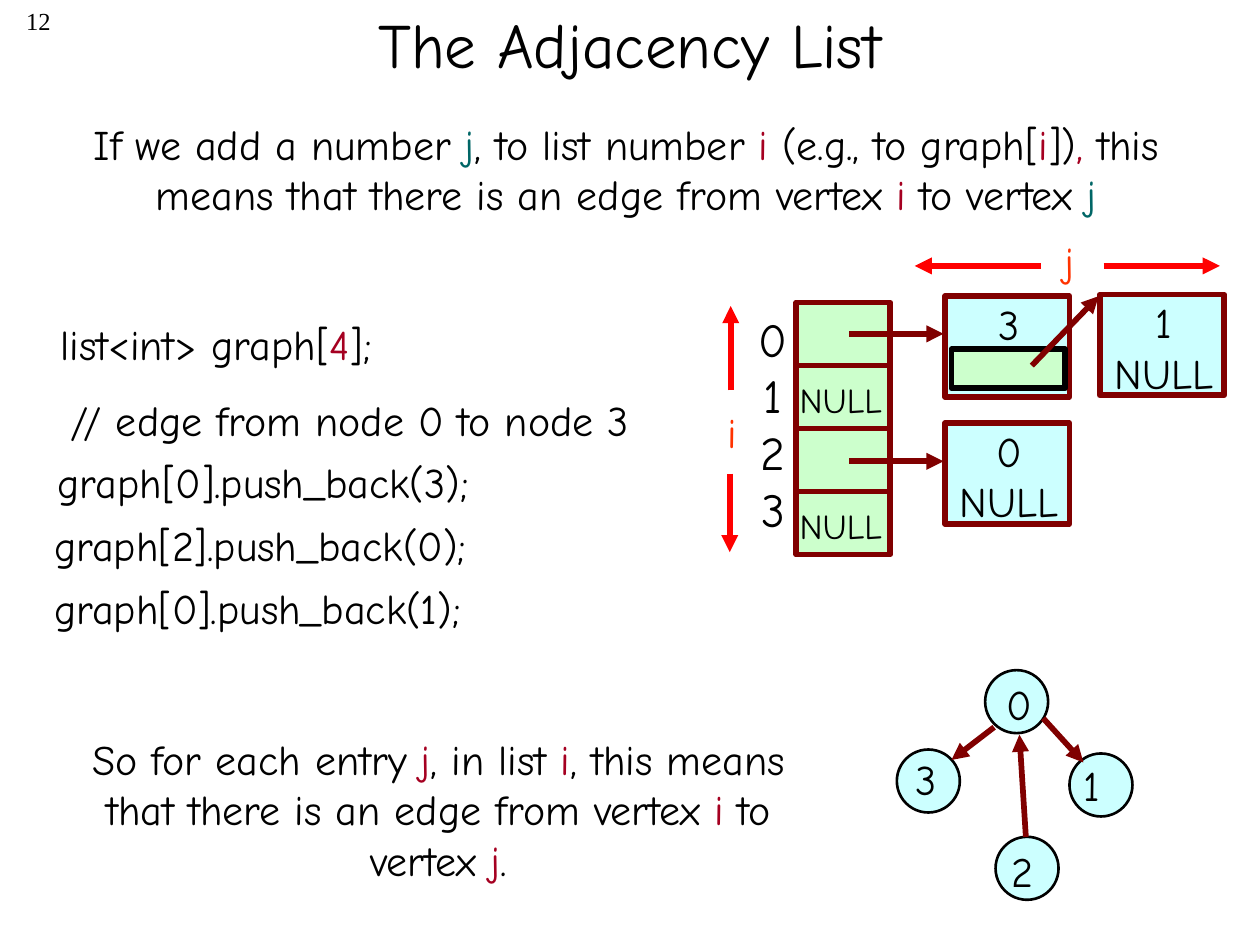
"""Build the adjacency list slide: code, linked lists and the matching graph."""
from lxml import etree
from pptx import Presentation
from pptx.dml.color import RGBColor
from pptx.enum.shapes import MSO_CONNECTOR, MSO_SHAPE
from pptx.enum.text import MSO_ANCHOR, MSO_AUTO_SIZE, PP_ALIGN
from pptx.oxml.ns import qn
from pptx.util import Cm, Pt

LEFT, CENTER, RIGHT = PP_ALIGN.LEFT, PP_ALIGN.CENTER, PP_ALIGN.RIGHT
RECT, OVAL = MSO_SHAPE.RECTANGLE, MSO_SHAPE.OVAL
GROW, FIXED = MSO_AUTO_SIZE.SHAPE_TO_FIT_TEXT, MSO_AUTO_SIZE.NONE

THEME = {
    "font": "Comic Neue", "number_font": "Times New Roman",
    "title": 36, "index": 27, "body": 24, "cell": 20, "number": 14,
    "ink": "000000", "red": "A50021", "teal": "006666", "axis": "FF3300",
    "arrow": "FF0000", "maroon": "800000", "green": "CCFFCC", "cyan": "CCFFFF",
    "thick": 3.25, "thin": 1.5,
}

TITLE = "The Adjacency List"
LEAD = [("If we add a number ", "ink"), ("j", "teal"), (", to list number ", "ink"),
        ("i ", "red"), ("(e.g., to graph[", "ink"), ("i", "red"), ("])", "ink"),
        (", ", "red"), ("this means that there is an edge from vertex ", "ink"),
        ("i", "red"), (" to vertex ", "ink"), ("j", "teal")]
CLOSING = [("So for each entry ", "ink"), ("j", "red"), (", in list ", "ink"),
           ("i", "red"), (", this means that there is an edge from vertex ", "ink"),
           ("i ", "red"), ("to vertex ", "ink"), ("j", "red"), (".", "ink")]
CODE = [
    (0.97, 6.3, 7.47, [("list<int> graph[", "ink"), ("4", "red"), ("];", "ink")]),
    (1.17, 7.82, 12.52, "// edge from node 0 to node 3"),
    (0.91, 9.07, 9.65, "graph[0].push_back(3);"),
    (0.84, 10.34, 9.65, "graph[2].push_back(0);"),
    (0.84, 11.61, 9.5, "graph[0].push_back(1);"),
]
ARRAY = ["", "NULL", "", "NULL"]
LIST_NODES = [
    (19.05, 5.97, ["3"]),
    (19.05, 8.53, ["0", "NULL"]),
    (22.17, 5.94, ["1", "NULL"]),
]
NEXT_SLOT = (19.18, 7.04, 2.29, 0.79)
POINTERS = [(17.12, 6.73, 19.02, 6.73), (17.12, 9.3, 19.02, 9.3),
            (20.8, 7.37, 22.15, 5.97)]
AXES = [
    ("i", (14.38, 8.08, 0.76, 1.27),
     [(14.73, 7.87, 14.73, 6.17), (14.71, 9.55, 14.71, 11.13)]),
    ("j", (21.13, 4.62, 0.86, 1.27),
     [(22.25, 5.36, 24.59, 5.36), (20.98, 5.36, 18.44, 5.36)]),
]
VERTICES = [
    ("0", (19.86, 13.51), (20.04, 13.56, 1.02)),
    ("1", (21.56, 15.19), (21.59, 15.19, 0.89)),
    ("2", (20.07, 16.87), (20.14, 16.92, 1.02)),
    ("3", (18.08, 15.11), (18.21, 15.06, 1.02)),
]
EDGES = [(20.04, 14.66, 19.18, 15.32), (20.68, 16.87, 20.55, 14.81),
         (21.03, 14.48, 21.84, 15.37)]
LINE_H = 1.27
CELL_X, CELL_Y, CELL_W, CELL_H = 16.05, 6.1, 1.9, 1.27
NODE_W, NODE_H = 2.51, 2.03


def color(name):
    return RGBColor.from_string(THEME[name])


def apply(obj, values):
    for name, value in values.items():
        setattr(obj, name, value)


def write(tf, paragraphs, size="body", align=LEFT, font="font", ink="ink"):
    for i, runs in enumerate(paragraphs):
        p = tf.add_paragraph() if i else tf.paragraphs[0]
        p.alignment = align
        for text, tone in [(runs, ink)] if isinstance(runs, str) else runs:
            r = p.add_run()
            r.text = text
            apply(r.font, {"name": THEME[font], "size": Pt(THEME[size])})
            r.font.color.rgb = color(tone)


def add_text(s, box, paragraphs, wrap=False, **style):
    tf = s.shapes.add_textbox(*map(Cm, box)).text_frame
    apply(tf, {"word_wrap": wrap, "auto_size": GROW})
    write(tf, paragraphs, **style)


def add_block(s, kind, box, fill, line="maroon", width="thick"):
    sp = s.shapes.add_shape(kind, *map(Cm, box))
    sp.shadow.inherit = False
    sp.fill.solid()
    sp.fill.fore_color.rgb = color(fill)
    sp.line.color.rgb = color(line)
    sp.line.width = Pt(THEME[width])


def add_arrow(s, ends, tone="maroon"):
    sp = s.shapes.add_connector(MSO_CONNECTOR.STRAIGHT, *map(Cm, ends))
    sp.line.color.rgb = color(tone)
    sp.line.width = Pt(THEME["thick"])
    etree.SubElement(sp.line._get_or_add_ln(), qn("a:tailEnd"), type="triangle")
    etree.SubElement(sp._element.spPr, qn("a:effectLst"))


def add_words(s):
    title = s.shapes.title
    apply(title, {"left": Cm(1.9), "top": Cm(-0.71),
                  "width": Cm(21.59), "height": Cm(3.18)})
    apply(title.text_frame, {"auto_size": FIXED, "vertical_anchor": MSO_ANCHOR.MIDDLE})
    write(title.text_frame, [TITLE], "title", CENTER)
    add_text(s, (0, 0, 1.27, 1.27), ["12"], True,
             size="number", align=RIGHT, font="number_font")
    add_text(s, (0.84, 2.26, 23.57, 2.31), [LEAD], True, align=CENTER)
    for x, y, w, runs in CODE:
        add_text(s, (x, y, w, LINE_H), [runs])
    add_text(s, (1.45, 14.66, 14.78, 3.3), [CLOSING], True, align=CENTER)


def add_lists(s):
    for i, label in enumerate(ARRAY):
        y = CELL_Y + i * CELL_H
        add_block(s, RECT, (CELL_X, y, CELL_W, CELL_H), "green")
        if label:
            add_text(s, (CELL_X - 0.18, y + 0.14, 2.36, 1.09), [label], size="cell")
    add_text(s, (15.04, 6.12, 1.09, 4.83), [str(i) for i in range(len(ARRAY))],
             size="index", align=CENTER)
    for x, y, lines in LIST_NODES:
        add_block(s, RECT, (x, y, NODE_W, NODE_H), "cyan")
        add_text(s, (x - 0.08, y - 0.08, 2.74, 0.25 + 1.02 * len(lines)),
                 lines, align=CENTER)
    add_block(s, RECT, NEXT_SLOT, "green", "ink")
    for ends in POINTERS:
        add_arrow(s, ends)
    for label, box, arrows in AXES:
        add_text(s, box, [label], align=CENTER, ink="axis")
        for ends in arrows:
            add_arrow(s, ends, "arrow")


def add_graph(s):
    for label, corner, place in VERTICES:
        add_block(s, OVAL, (*corner, LINE_H, LINE_H), "cyan", "ink", "thin")
        add_text(s, (*place, LINE_H), [label])
    for ends in EDGES:
        add_arrow(s, ends)


def main():
    prs = Presentation()
    apply(prs, {"slide_width": Cm(25.4), "slide_height": Cm(19.05)})
    s = prs.slides.add_slide(prs.slide_layouts[5])
    for add_part in (add_words, add_lists, add_graph):
        add_part(s)
    prs.save("out.pptx")


if __name__ == "__main__":
    main()
